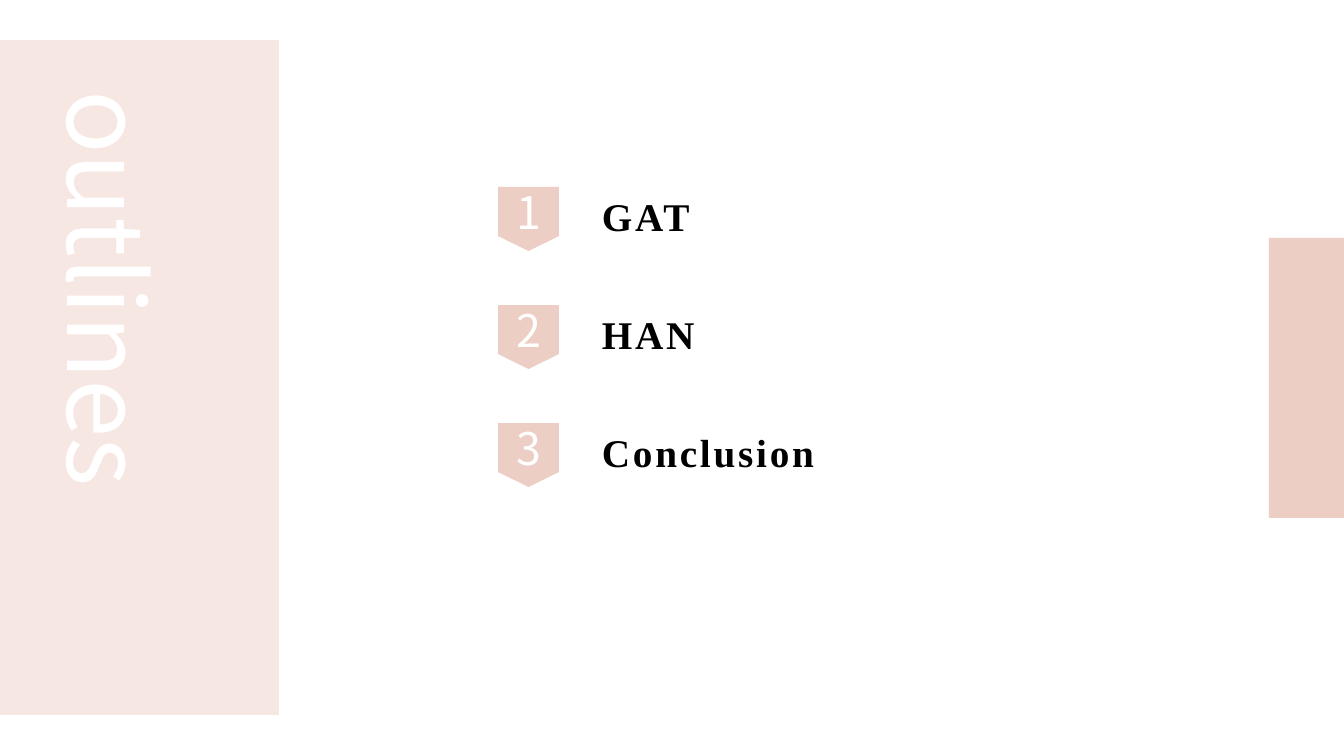
from dataclasses import dataclass

from pptx import Presentation
from pptx.dml.color import RGBColor
from pptx.enum.shapes import MSO_SHAPE
from pptx.enum.text import MSO_ANCHOR, MSO_AUTO_SIZE, PP_ALIGN
from pptx.util import Emu, Pt

EMU_PER_PX = 914400 / 100.8
TITLE_ONLY = 5


@dataclass(frozen=True)
class Theme:
    pale: RGBColor = RGBColor(0xF6, 0xE7, 0xE2)
    rose: RGBColor = RGBColor(0xEC, 0xCE, 0xC4)
    white: RGBColor = RGBColor(0xFF, 0xFF, 0xFF)
    black: RGBColor = RGBColor(0, 0, 0)
    sans: str = "Noto Sans CJK SC"
    serif: str = "Times New Roman"
    title_size: int = 75
    number_size: int = 32
    label_size: int = 28
    label_spacing: int = 200  # hundredths of a point


THEME = Theme()


def px(length):
    return Emu(round(length * EMU_PER_PX))


def add_block(shapes, kind, box, color):
    block = shapes.add_shape(kind, *map(px, box))
    block.shadow.inherit = False
    block.fill.solid()
    block.fill.fore_color.rgb = color
    block.line.fill.background()
    return block


def write(frame, text, font_name, size, color, align, bold=False):
    paragraph = frame.paragraphs[0]
    paragraph.text = text
    paragraph.alignment = align
    run = paragraph.runs[0]
    run.font.name = font_name
    run.font.size = Pt(size)
    run.font.bold = bold
    run.font.color.rgb = color
    return run


def add_title_panel(slide, box, text):
    left, top, width, height = box
    panel = add_block(slide.shapes, MSO_SHAPE.RECTANGLE, box, THEME.pale)

    # Title turned to read downwards, about the centre of its column
    title = slide.shapes.title
    panel._element.addnext(title._element)
    length, thickness = 440, 178
    center_x, center_y = left + 109, top + 40 + length / 2
    title.left, title.top = px(center_x - length / 2), px(center_y - thickness / 2)
    title.width, title.height = px(length), px(thickness)
    title.rotation = 90
    frame = title.text_frame
    frame.auto_size = MSO_AUTO_SIZE.NONE
    frame.vertical_anchor = MSO_ANCHOR.MIDDLE
    write(frame, text, THEME.sans, THEME.title_size, THEME.white, PP_ALIGN.LEFT)


def add_badge(slide, box, number):
    left, top, width, height = box
    tip_height = 15
    body_height = height - tip_height
    badge = slide.shapes.add_group_shape().shapes
    body = add_block(badge, MSO_SHAPE.RECTANGLE,
                     (left, top, width, body_height), THEME.rose)
    frame = body.text_frame
    frame.vertical_anchor = MSO_ANCHOR.MIDDLE
    frame.margin_left = frame.margin_right = 0
    frame.margin_top = frame.margin_bottom = 0
    write(frame, number, THEME.sans, THEME.number_size, THEME.white,
          PP_ALIGN.CENTER)
    tip = add_block(badge, MSO_SHAPE.ISOSCELES_TRIANGLE,
                    (left, top + body_height, width, tip_height), THEME.rose)
    tip.rotation = 180


def add_outline(slide, box, topics):
    left, top, width, height = box
    pitch = height / len(topics)
    for index, topic in enumerate(topics):
        row_top = top + index * pitch
        add_badge(slide, (left, row_top, 61, 64), str(index + 1))

        # Topic beside its badge
        label = slide.shapes.add_textbox(
            px(left + 94), px(row_top), px(width - 94), px(57))
        frame = label.text_frame
        frame.word_wrap = True
        run = write(frame, topic, THEME.serif, THEME.label_size, THEME.black,
                    PP_ALIGN.LEFT, bold=True)
        run.font._element.set("spc", str(THEME.label_spacing))


def main():
    deck = Presentation()
    deck.slide_width, deck.slide_height = px(1344), px(756)
    slide = deck.slides.add_slide(deck.slide_layouts[TITLE_ONLY])

    add_title_panel(slide, (0, 40, 279, 675), "outlines")
    # Accent on the right edge
    add_block(slide.shapes, MSO_SHAPE.RECTANGLE, (1269, 238, 75, 280), THEME.rose)
    add_outline(slide, (498, 187, 491, 354), ["GAT", "HAN", "Conclusion"])

    deck.save("out.pptx")


if __name__ == "__main__":
    main()
